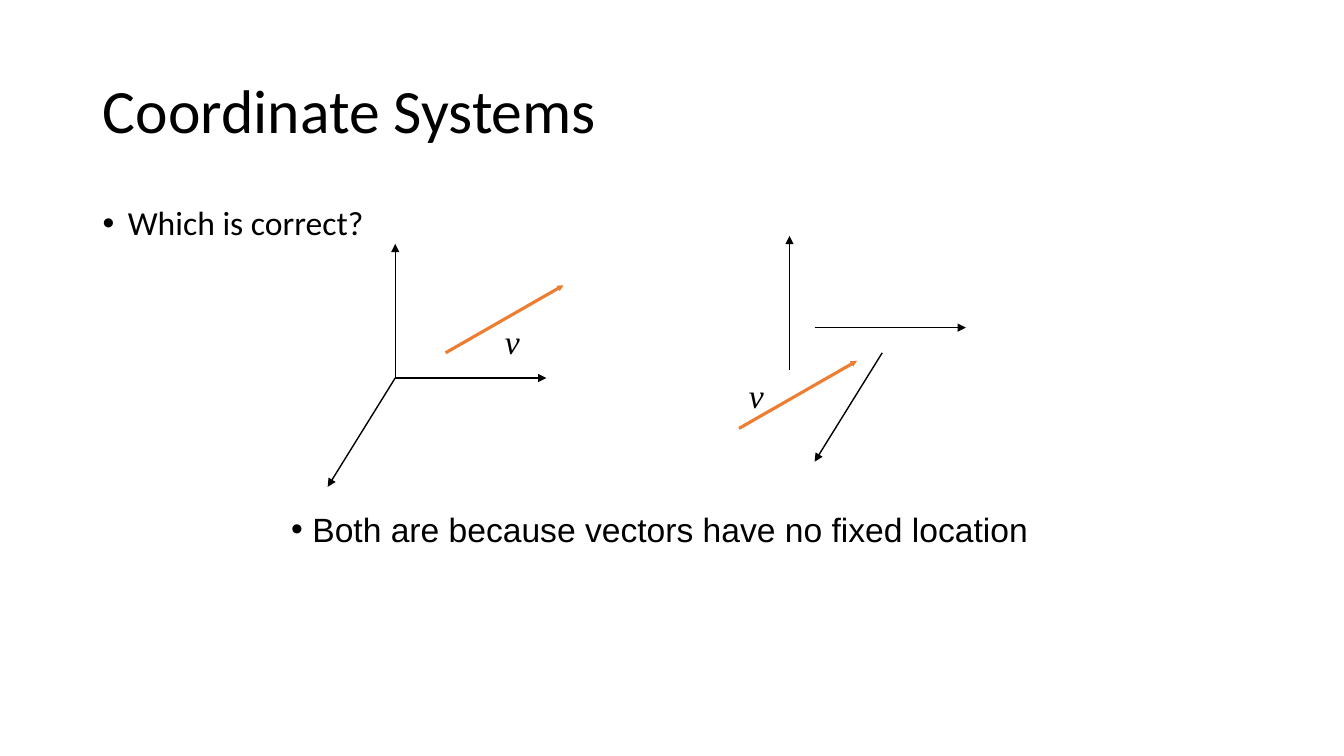
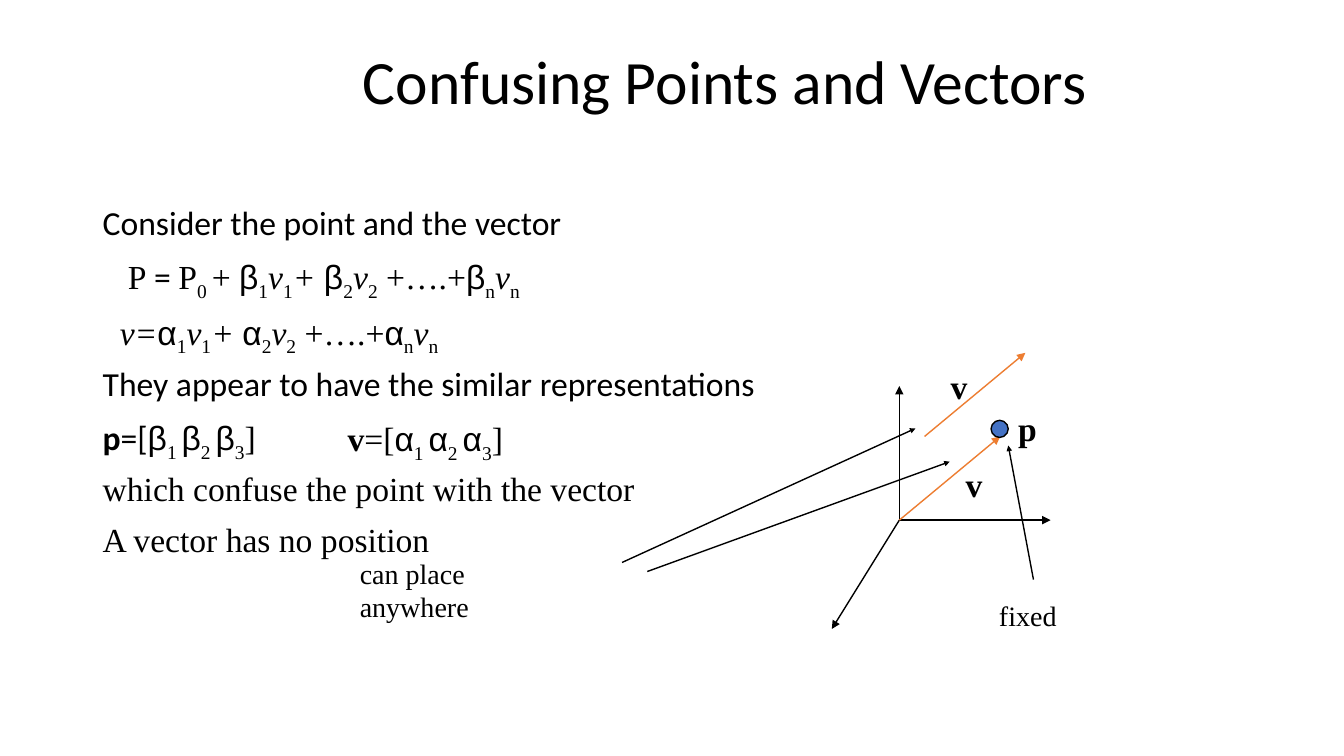
import pptx
import pptx.util
import pptx.dml.color
import pptx.enum.shapes
import pptx.enum.text
import pptx.oxml.ns
from lxml import etree

Inches = pptx.util.Inches
Pt = pptx.util.Pt
qn = pptx.oxml.ns.qn

COLORS = {"ink": "000000", "vector": "ED7D31", "point": "4472C4"}
SANS, SERIF, GREEK = "Calibri", "Times New Roman", "Arial"
FORMATS = {
    "title": {"name": SANS, "size": Pt(44), "bold": False},
    "body": {"name": SANS, "size": Pt(24)},
    "body_bold": {"name": SANS, "size": Pt(24), "bold": True},
    "answer": {"name": GREEK, "size": Pt(24)},
    "serif": {"name": SERIF, "size": Pt(24)},
    "sub": {"name": SERIF, "size": Pt(24)},
    "variable": {"name": SERIF, "size": Pt(24), "italic": True},
    "strong": {"name": SERIF, "size": Pt(24), "bold": True},
    "greek": {"name": GREEK, "size": Pt(24)},
    "caption": {"name": SERIF, "size": Pt(20)},
}
SUBSCRIPT = "-25000"

# Axis directions, measured from each axis start
AXIS_STEPS = [(1.5, 0), (0, -1.33), (-0.67, 1.08)]
COMMON_ORIGIN = [(0.67, 1.33)] * 3


def color(name):
    return pptx.dml.color.RGBColor.from_string(COLORS[name])


# Text
def add_runs(paragraph, runs):
    for text, style in runs:
        run = paragraph.add_run()
        run.text = text
        for attribute, value in FORMATS[style].items():
            setattr(run.font, attribute, value)
        run.font.color.rgb = color("ink")
        if style == "sub":
            run._r.get_or_add_rPr().set("baseline", SUBSCRIPT)


def indent(paragraph, margin, first=0, bullet=None):
    properties = paragraph._p.get_or_add_pPr()
    properties.set("marL", str(Inches(margin)))
    properties.set("indent", str(Inches(first)))
    if bullet:
        etree.SubElement(properties, qn("a:buFont")).set("typeface", "Arial")
        etree.SubElement(properties, qn("a:buChar")).set("char", bullet)


def add_frame(slide, left, top, width, height):
    box = slide.shapes.add_textbox(*map(Inches, (left, top, width, height)))
    box.text_frame.word_wrap = True
    return box.text_frame


def add_label(slide, left, top, runs, width=0.5, height=0.5):
    frame = add_frame(slide, left, top, width, height)
    add_runs(frame.paragraphs[0], runs)


def add_title(slide, text, left, top, width, height):
    title = slide.shapes.title
    title.left, title.top, title.width, title.height = map(
        Inches, (left, top, width, height))
    frame = title.text_frame
    frame.word_wrap = True
    frame.auto_size = pptx.enum.text.MSO_AUTO_SIZE.NONE
    frame.vertical_anchor = pptx.enum.text.MSO_ANCHOR.MIDDLE
    paragraph = frame.paragraphs[0]
    paragraph.alignment = pptx.enum.text.PP_ALIGN.LEFT
    paragraph.line_spacing = 0.9
    add_runs(paragraph, [(text, "title")])


def add_body(slide, rows):
    """Each row is a list of (text, style) runs and its indent settings."""
    frame = add_frame(slide, 0.92, 2, 11.5, 4.76)
    for index, (runs, layout) in enumerate(rows):
        paragraph = frame.add_paragraph() if index else frame.paragraphs[0]
        paragraph.line_spacing = 0.9
        paragraph.space_before = Pt(10)
        indent(paragraph, **layout)
        add_runs(paragraph, runs)


# Arrows and axes
def add_arrow(slide, start, end, line_color="ink", width=1, head="med"):
    arrow = slide.shapes.add_connector(
        pptx.enum.shapes.MSO_CONNECTOR.STRAIGHT, *map(Inches, (*start, *end)))
    arrow.line.color.rgb = color(line_color)
    arrow.line.width = Pt(width)
    tail = etree.SubElement(arrow.line._get_or_add_ln(), qn("a:tailEnd"))
    for key, value in {"type": "triangle", "w": head, "len": head}.items():
        tail.set(key, value)
    etree.SubElement(arrow._element.spPr, qn("a:effectLst"))


def add_axes_figure(slide, left, top, axis_starts, vector_starts, vector_step,
                    labels, label_style, **vector_line):
    """Draw axes, vectors and their labels relative to the figure's corner."""
    def arrow_from(start, step, **line):
        x, y = left + start[0], top + start[1]
        add_arrow(slide, (x, y), (x + step[0], y + step[1]), **line)

    for start, step in zip(axis_starts, AXIS_STEPS):
        arrow_from(start, step)
    for start in vector_starts:
        arrow_from(start, vector_step, line_color="vector", **vector_line)
    for text, x, y in labels:
        add_label(slide, left + x, top + y, [(text, label_style)])


# Formulas
def linear_combination(coefficient):
    return [
        (coefficient, "greek"), ("1", "sub"), ("v", "variable"), ("1", "sub"),
        ("+ ", "variable"),
        (coefficient, "greek"), ("2", "sub"), ("v", "variable"), ("2", "sub"),
        (" +….+", "serif"),
        (coefficient, "greek"), ("n", "sub"), ("v", "variable"), ("n", "sub"),
    ]


def components(coefficient):
    runs = []
    for number in ("1 ", "2 ", "3"):
        runs += [(coefficient, "greek"), (number, "sub")]
    return runs + [("]", "serif")]


# Slides
def build_coordinate_systems(slide):
    add_title(slide, "Coordinate Systems", 0.92, 0.4, 11.5, 1.45)
    add_body(slide, [([("Which is correct?", "body")],
                      {"margin": 0.25, "first": -0.25, "bullet": "•"})])

    free_vector = {"vector_step": (1.17, -0.67), "label_style": "variable",
                   "width": 2.25, "head": "sm"}
    add_axes_figure(slide, 3.25, 2.42, COMMON_ORIGIN, [(1.17, 1.08)],
                    labels=[("v", 1.66, 0.71)], **free_vector)
    separate_starts = [(0.75, 0.92), (0.5, 1.34), (1.42, 1.17)]
    add_axes_figure(slide, 7.33, 2.33, separate_starts, [(0, 1.92)],
                    labels=[("v", 0, 1.34)], **free_vector)

    answer = add_frame(slide, 2.79, 5, 7.9, 0.5).paragraphs[0]
    indent(answer, 0.21, -0.21, "•")
    add_runs(answer, [("Both are because vectors have no fixed location", "answer")])


def add_point_figure(slide, left, top):
    add_axes_figure(slide, left, top, COMMON_ORIGIN,
                    [(0.67, 1.33), (0.92, 0.5)], (1, -0.83),
                    [("v", 1.23, 0.72), ("p", 1.75, 0.17), ("v", 1.08, -0.25)],
                    "strong")

    point = slide.shapes.add_shape(
        pptx.enum.shapes.MSO_SHAPE.OVAL,
        *map(Inches, (left + 1.58, top + 0.34, 0.17, 0.17)))
    point.shadow.inherit = False
    point.fill.solid()
    point.fill.fore_color.rgb = color("point")
    point.line.color.rgb = color("ink")
    point.line.width = Pt(1)

    # Captions and their pointers
    pointers = [((-2.08, 1.75), (0.83, 0.42)), ((-1.83, 1.84), (1.17, 0.75)),
                ((2, 1.92), (1.75, 0.59))]
    for start, end in pointers:
        add_arrow(slide, (left + start[0], top + start[1]),
                  (left + end[0], top + end[1]), head="sm")
    captions = [("can place anywhere", -4.78, 1.64, 1.6, 0.75),
                ("fixed", 1.56, 2.06, 0.9, 0.43)]
    for text, x, y, width, height in captions:
        add_label(slide, left + x, top + y, [(text, "caption")], width, height)


def build_points_and_vectors(slide):
    add_title(slide, "Confusing Points and Vectors", 3.5, 0.25, 7.58, 1.17)
    flush = {"margin": 0}
    point_sum = [("P", "serif"), (" = ", "body"), ("P", "serif"), ("0 ", "sub"),
                 ("+ ", "serif")] + linear_combination("β")
    vector_sum = [("v=", "variable")] + linear_combination("α")
    point_form = [("p", "body_bold"), ("=[", "body")] + components("β")
    vector_form = [("v", "strong"), ("=[", "serif")] + components("α")
    add_body(slide, [
        ([("Consider the point and the vector", "body")], flush),
        (point_sum, {"margin": 0.25}),
        (vector_sum, {"margin": 0.17}),
        ([("They appear to have the similar representations", "body")], flush),
        (point_form, flush),
        ([("which confuse the point with the vector", "serif")], flush),
        ([("A vector has no position", "serif")], flush),
    ])
    # Vector form, on the line of the point form
    add_label(slide, 3.35, 4.1, vector_form, width=2.5)
    add_point_figure(slide, 8.25, 3.83)


def main():
    deck = pptx.Presentation()
    deck.slide_width, deck.slide_height = Inches(13.33), Inches(7.5)
    title_only = deck.slide_layouts[5]
    for build in (build_coordinate_systems, build_points_and_vectors):
        build(deck.slides.add_slide(title_only))
    deck.save("out.pptx")


if __name__ == "__main__":
    main()
